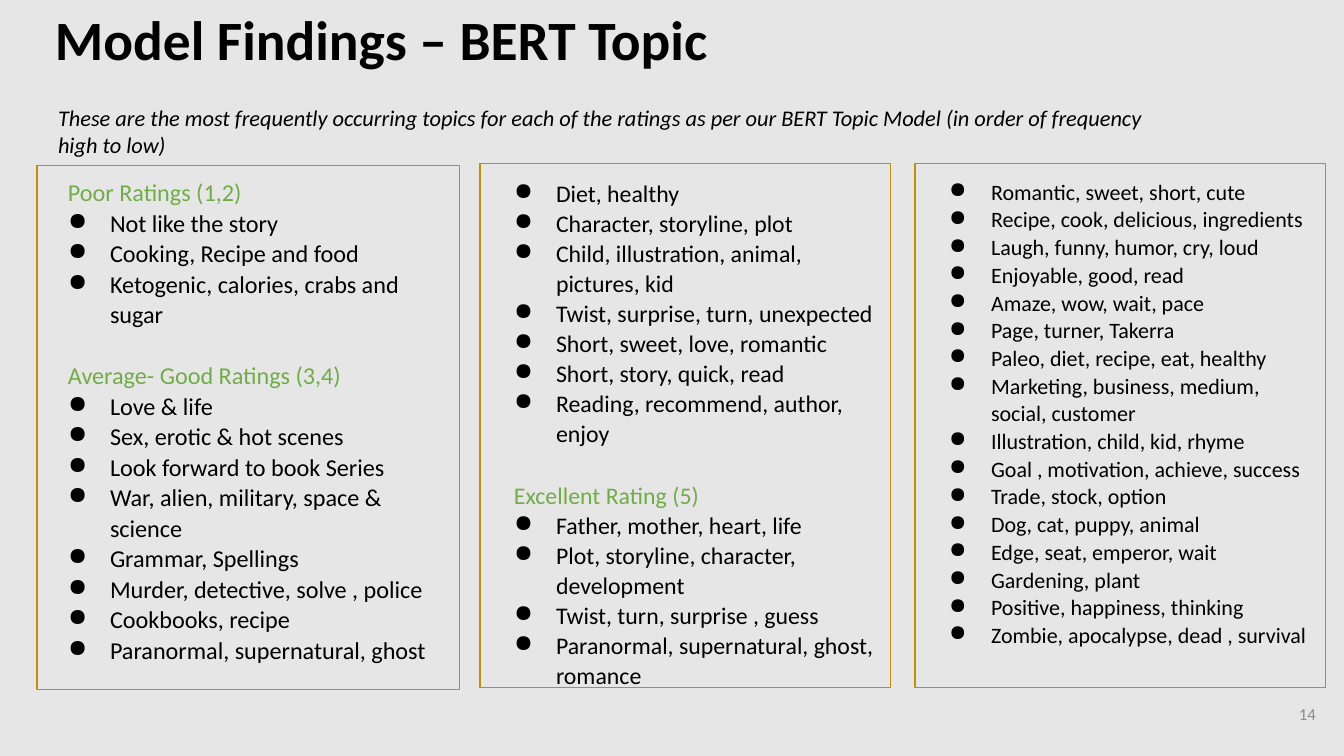
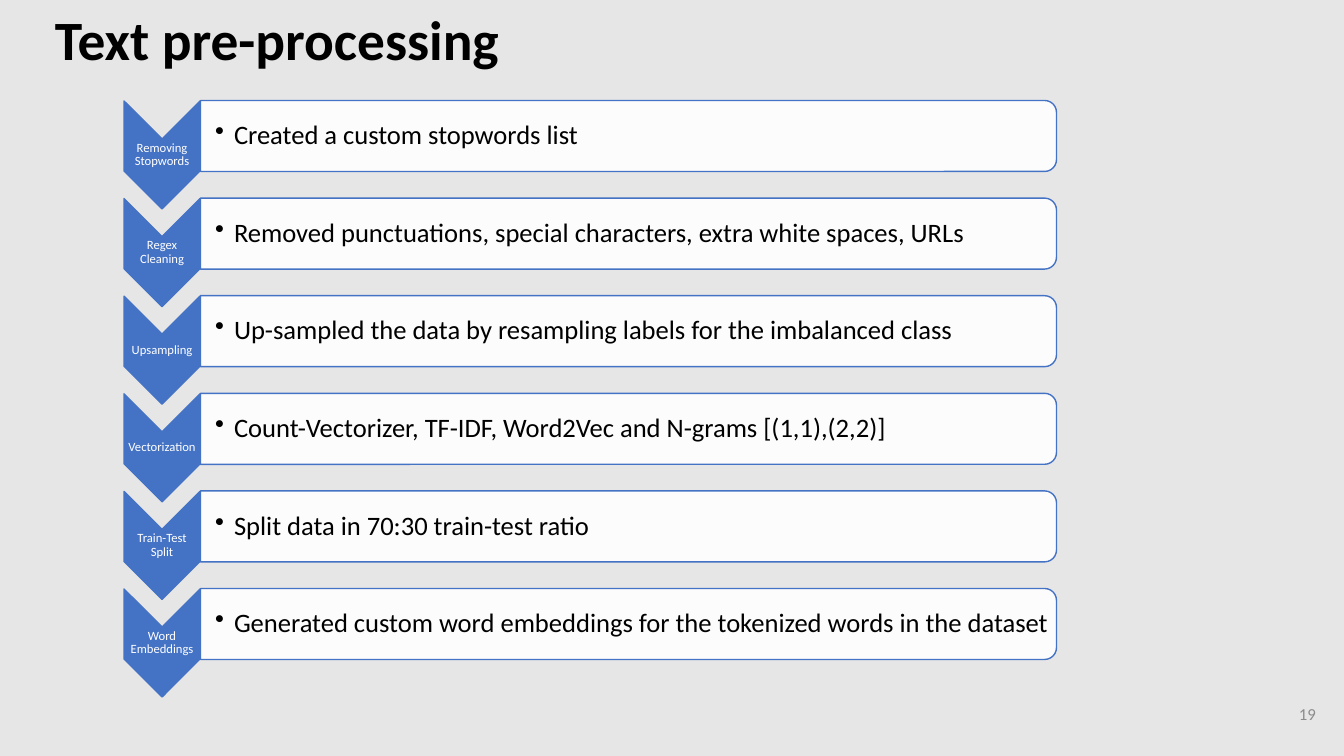
import pptx
import pptx.dml.color
import pptx.enum.shapes
import pptx.enum.text
import pptx.oxml.ns
import pptx.util
import lxml.etree

SCALE = 914400 / 100.8
FONT = "Calibri"
BLACK = pptx.dml.color.RGBColor(0x00, 0x00, 0x00)
WHITE = pptx.dml.color.RGBColor(0xFF, 0xFF, 0xFF)
GRAY = pptx.dml.color.RGBColor(0x8C, 0x8C, 0x8C)
BACKGROUND = pptx.dml.color.RGBColor(0xE7, 0xE6, 0xE6)
GREEN = pptx.dml.color.RGBColor(0x70, 0xAD, 0x47)
GOLD = pptx.dml.color.RGBColor(0xBF, 0x90, 0x00)
BLUE = pptx.dml.color.RGBColor(0x44, 0x72, 0xC4)
TOP = pptx.enum.text.MSO_ANCHOR.TOP
MIDDLE = pptx.enum.text.MSO_ANCHOR.MIDDLE
LEFT = pptx.enum.text.PP_ALIGN.LEFT
CENTER = pptx.enum.text.PP_ALIGN.CENTER
RIGHT = pptx.enum.text.PP_ALIGN.RIGHT
CHEVRON = pptx.enum.shapes.MSO_SHAPE.CHEVRON
ROUNDED = pptx.enum.shapes.MSO_SHAPE.ROUND_2_SAME_RECTANGLE


def px(*lengths):
    return [pptx.util.Emu(round(length * SCALE)) for length in lengths]


def write(page, text, at, size, color=BLACK, bold=False, italic=False, align=LEFT,
          anchor=TOP, inset=(10, 10, 10, 10), spacing=1.0, bullet=None, indent=0,
          hanging=0, headings=(), heading_gap=0, heading_spacing=1.05):
    box = page.shapes.add_textbox(*px(*at))
    frame = box.text_frame
    frame.word_wrap = True
    frame.vertical_anchor = anchor
    frame.margin_left, frame.margin_top, frame.margin_right, frame.margin_bottom = px(*inset)
    for index, line in enumerate(text.split("\n")):
        para = frame.add_paragraph() if index else frame.paragraphs[0]
        heading = line in headings
        properties = para._p.get_or_add_pPr()
        if bullet:
            margin, first = px(indent - hanging if heading else indent, 0 if heading else -hanging)
            properties.set("marL", str(margin))
            properties.set("indent", str(first))
            if not heading:
                mark = lxml.etree.SubElement(properties, pptx.oxml.ns.qn("a:buChar"))
                mark.set("char", bullet)
        para.alignment = align
        para.line_spacing = heading_spacing if heading else spacing
        if heading and index:
            para.space_before = pptx.util.Pt(heading_gap)
        span = para.add_run()
        span.text = line
        span.font.name = FONT
        span.font.size = pptx.util.Pt(size)
        span.font.bold = bold
        span.font.italic = italic
        span.font.color.rgb = GREEN if heading else color
    return box


deck = pptx.Presentation()
deck.slide_width, deck.slide_height = px(1344, 756)
master_fill = deck.slide_master.background.fill
master_fill.solid()
master_fill.fore_color.rgb = BACKGROUND

pages = []
for title, number in (("Model Findings – BERT Topic", "14"), ("Text pre-processing", "19")):
    page = deck.slides.add_slide(deck.slide_layouts[6])
    write(page, title, (45, 3, 1173, 76), 39.6, bold=True, spacing=0.9)
    write(page, number, (1245, 685, 81, 57), 12, color=GRAY, align=RIGHT, anchor=MIDDLE)
    pages.append(page)
findings, steps = pages

write(
    findings,
    "These are the most frequently occurring topics for each of the ratings as per our "
    "BERT Topic Model (in order of frequency high to low)",
    (45, 97, 1119, 68), 16, italic=True, inset=(13, 7, 13, 7),
)

POOR_TO_GOOD = """Poor Ratings (1,2)
Not like the story
Cooking, Recipe and food
Ketogenic, calories, crabs and sugar
Average- Good Ratings (3,4)
Love & life
Sex, erotic & hot scenes
Look forward to book Series
War, alien, military, space & science
Grammar, Spellings
Murder, detective, solve , police
Cookbooks, recipe
Paranormal, supernatural, ghost"""

GOOD_TO_EXCELLENT = """Diet, healthy
Character, storyline, plot
Child, illustration, animal, pictures, kid
Twist, surprise, turn, unexpected
Short, sweet, love, romantic
Short, story, quick, read
Reading, recommend, author, enjoy
Excellent Rating (5)
Father, mother, heart, life
Plot, storyline, character, development
Twist, turn, surprise , guess
Paranormal, supernatural, ghost, romance"""

EXCELLENT = """Romantic, sweet, short, cute
Recipe, cook, delicious, ingredients
Laugh, funny, humor, cry, loud
Enjoyable, good, read
Amaze, wow, wait, pace
Page, turner, Takerra
Paleo, diet, recipe, eat, healthy
Marketing, business, medium, social, customer
Illustration, child, kid, rhyme
Goal , motivation, achieve, success
Trade, stock, option
Dog, cat, puppy, animal
Edge, seat, emperor, wait
Gardening, plant
Positive, happiness, thinking
Zombie, apocalypse, dead , survival"""

RATINGS = ("Poor Ratings (1,2)", "Average- Good Ratings (3,4)", "Excellent Rating (5)")
columns = (
    (POOR_TO_GOOD, (37, 166, 423, 524), 17.3, 10, 22, 1.05),
    (GOOD_TO_EXCELLENT, (480, 164, 411, 524), 17, 13, 21, 1.15),
    (EXCELLENT, (915, 164, 411, 524), 15.7, 13, 0, 1.05),
)
for topics, at, size, inset, gap, heading_spacing in columns:
    column = write(findings, topics, at, size, inset=(inset,) * 4, spacing=1.05, bullet="●",
                   indent=63, hanging=42, headings=RATINGS, heading_gap=gap,
                   heading_spacing=heading_spacing)
    column.line.color.rgb = GOLD
    column.line.width = pptx.util.Pt(0.75)

stages = (
    ("Removing Stopwords", "Created a custom stopwords list"),
    ("Regex Cleaning", "Removed punctuations, special characters, extra white spaces, URLs"),
    ("Upsampling", "Up-sampled the data by resampling labels for the imbalanced class"),
    ("Vectorization", "Count-Vectorizer, TF-IDF, Word2Vec and N-grams [(1,1),(2,2)]"),
    ("Train-Test Split", "Split data in 70:30 train-test ratio"),
    ("Word Embeddings", "Generated custom word embeddings for the tokenized words in the dataset"),
)
for index, (label, detail) in enumerate(stages):
    offset = 488 * index / (len(stages) - 1)
    for preset, at, color in (
        (CHEVRON, (108, 117 + offset, 108, 76), BLUE),
        (ROUNDED, (593, offset - 292, 71, 856), WHITE),
    ):
        shape = steps.shapes.add_shape(preset, *px(*at))
        shape.rotation = 90
        shape.shadow.inherit = False
        shape.fill.solid()
        shape.fill.fore_color.rgb = color
        shape.line.color.rgb = BLUE
        shape.line.width = pptx.util.Pt(1)
        if preset == ROUNDED:
            tint = shape._element.spPr.find(pptx.oxml.ns.qn("a:solidFill"))[0]
            lxml.etree.SubElement(tint, pptx.oxml.ns.qn("a:alpha")).set("val", "90000")
    write(steps, label, (124, 139 + offset, 76, 32), 9, color=WHITE, align=CENTER,
          anchor=MIDDLE, inset=(1, 1, 1, 1), spacing=0.9)
    write(steps, detail, (200, 104 + offset, 854, 64), 19, anchor=MIDDLE,
          inset=(15, 1, 1, 1), spacing=0.9, bullet="•", indent=19, hanging=19)

deck.save("out.pptx")
